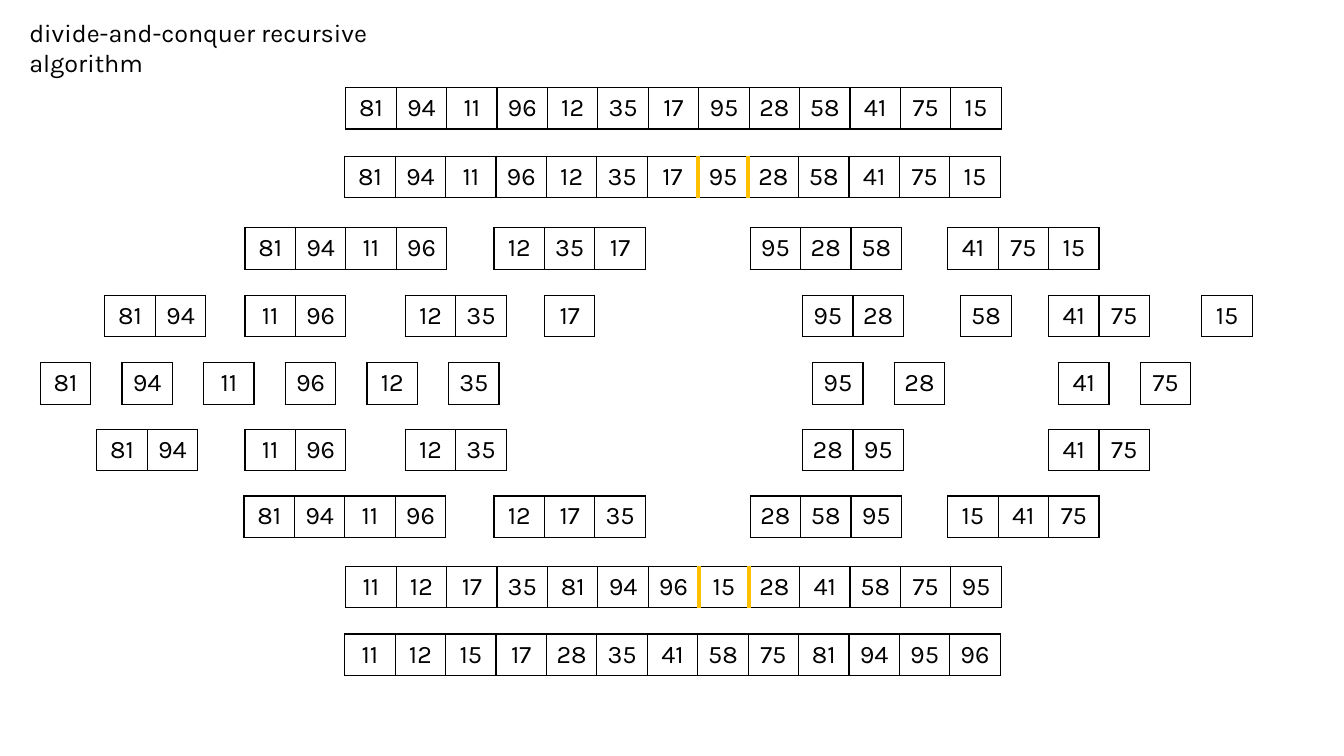
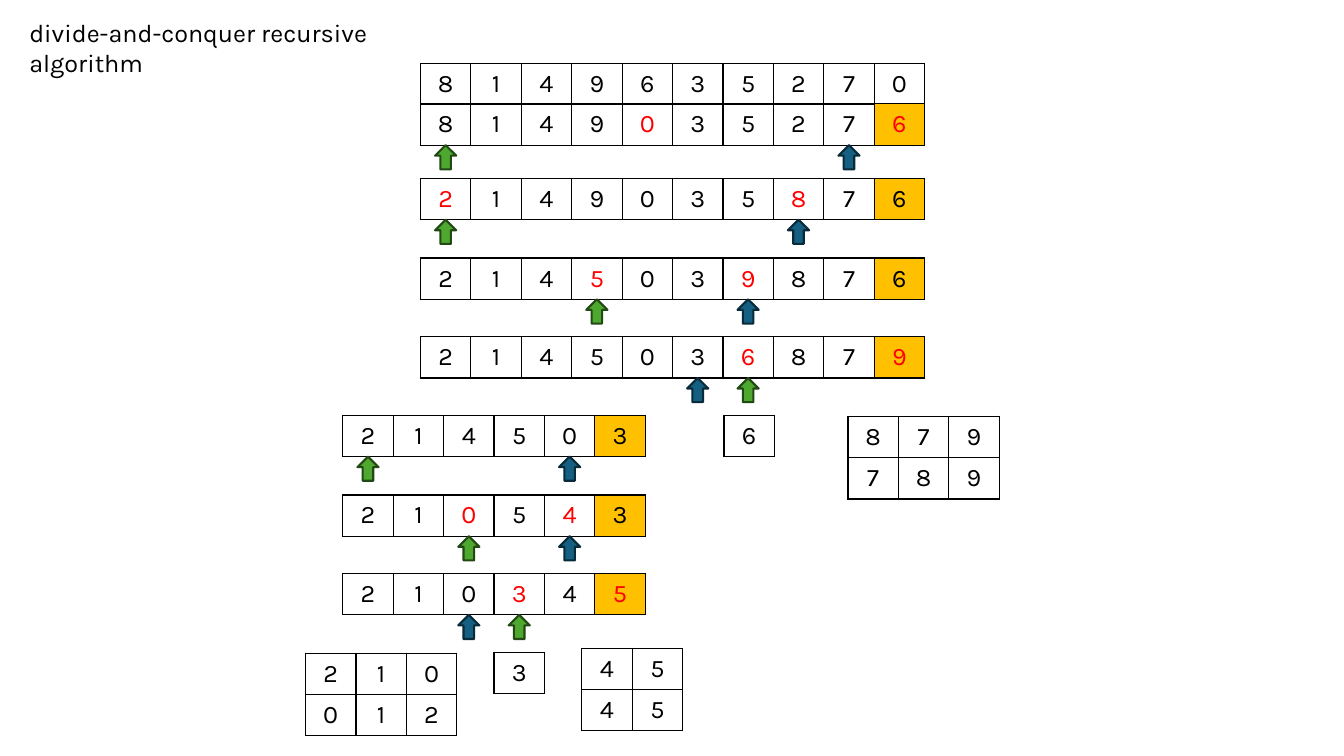
from dataclasses import dataclass

from lxml.etree import SubElement
from pptx import Presentation
from pptx.dml.color import RGBColor
from pptx.enum.shapes import MSO_SHAPE
from pptx.enum.text import MSO_ANCHOR as Anchor, MSO_AUTO_SIZE as AutoSize, PP_ALIGN as Align
from pptx.oxml.ns import qn
from pptx.util import Inches, Pt


@dataclass(frozen=True)
class Theme:
    font: str = "Karla"
    size: int = 18
    ink: str = "000000"
    paper: str = "FFFFFF"
    swapped: str = "FF0000"
    accent: str = "FFC000"
    left_marker: tuple = ("4EA72E", "224914")
    right_marker: tuple = ("156082", "092A39")
    grid_line: int = 1
    split_line: int = 3
    marker_line: float = 1.5


CELL_W, CELL_H = 0.5, 0.41
MARKER_W, MARKER_H = 0.21, 0.24
TITLE = "divide-and-conquer recursive algorithm"


def write(frame, text, *, theme, color=None, align=Align.LEFT):
    paragraph = frame.paragraphs[0]
    paragraph.alignment = align
    run = paragraph.add_run()
    run.text = text
    run.font.name = theme.font
    run.font.size = Pt(theme.size)
    run.font.color.rgb = RGBColor.from_string(color or theme.ink)


def set_border(cell, side, color, width):
    """Draw one cell edge; side is L, R, T or B."""
    line = SubElement(cell._tc.get_or_add_tcPr(), qn(f"a:ln{side}"), w=str(Pt(width)))
    fill = SubElement(line, qn("a:solidFill"))
    SubElement(fill, qn("a:srgbClr"), val=color)


class Deck:
    def __init__(self, theme):
        self.theme = theme
        self.prs = Presentation()
        self.prs.slide_width, self.prs.slide_height = Inches(13.33), Inches(7.5)
        self.slide = None

    def new_slide(self, title):
        self.slide = self.prs.slides.add_slide(self.prs.slide_layouts[5])
        background = self.slide.background.fill
        background.solid()
        background.fore_color.rgb = RGBColor.from_string(self.theme.paper)
        heading = self.slide.shapes.title
        heading.left, heading.top = Inches(0.19), Inches(0.12)
        heading.width, heading.height = Inches(4.45), Inches(0.7)
        frame = heading.text_frame
        frame.word_wrap = True
        frame.auto_size = AutoSize.NONE
        frame.vertical_anchor = Anchor.TOP
        write(frame, title, theme=self.theme)

    def array(self, left, top, values, swapped=(), pivot=False, split=()):
        """Draw a row of values; split lists the columns whose left edge is marked."""
        theme, values = self.theme, values.split()
        table = self.slide.shapes.add_table(
            1, len(values), Inches(left), Inches(top),
            Inches(CELL_W * len(values)), Inches(CELL_H)).table
        table.first_row = table.horz_banding = False
        for column, value in enumerate(values):
            table.columns[column].width = Inches(CELL_W)
            cell = table.cell(0, column)
            cell.vertical_anchor = Anchor.MIDDLE
            write(cell.text_frame, value, theme=theme, align=Align.CENTER,
                  color=theme.swapped if column in swapped else theme.ink)
            for side, edge in (("L", column), ("R", column + 1), ("T", None), ("B", None)):
                if edge in split:
                    set_border(cell, side, theme.accent, theme.split_line)
                else:
                    set_border(cell, side, theme.ink, theme.grid_line)
            if pivot and column == len(values) - 1:
                cell.fill.solid()
                cell.fill.fore_color.rgb = RGBColor.from_string(theme.accent)
            else:
                cell.fill.background()

    def marker(self, left, top, column, colors):
        """Point an arrow at a column of the array that starts at left, top."""
        x = left + CELL_W * column + (CELL_W - MARKER_W) / 2
        arrow = self.slide.shapes.add_shape(
            MSO_SHAPE.UP_ARROW, Inches(x), Inches(top + CELL_H),
            Inches(MARKER_W), Inches(MARKER_H))
        arrow.shadow.inherit = False
        fill, outline = colors
        arrow.fill.solid()
        arrow.fill.fore_color.rgb = RGBColor.from_string(fill)
        arrow.line.color.rgb = RGBColor.from_string(outline)
        arrow.line.width = Pt(self.theme.marker_line)


def merge_sort_slide(deck):
    deck.new_slide(TITLE)
    unsorted = "81 94 11 96 12 35 17 95 28 58 41 75 15"
    halves = (7, 8)
    deck.array(3.43, 0.87, unsorted)
    deck.array(3.42, 1.55, unsorted, split=halves)
    levels = {
        2.26: [(2.43, "81 94 11 96"), (4.9, "12 35 17"), (7.44, "95 28 58"), (9.4, "41 75 15")],
        2.93: [(1.04, "81 94"), (2.43, "11 96"), (4.02, "12 35"), (5.4, "17"),
               (7.96, "95 28"), (9.53, "58"), (10.4, "41 75"), (11.92, "15")],
        4.26: [(0.96, "81 94"), (2.43, "11 96"), (4.02, "12 35"), (7.96, "28 95"),
               (10.4, "41 75")],
        4.92: [(2.42, "81 94 11 96"), (4.9, "12 17 35"), (7.44, "28 58 95"), (9.4, "15 41 75")],
    }
    for top, parts in levels.items():
        for left, values in parts:
            deck.array(left, top, values)
    for start, singles in ((0.4, "81 94 11 96 12 35"), (8.06, "95 28"), (10.5, "41 75")):
        for index, value in enumerate(singles.split()):
            deck.array(start + 0.81 * index, 3.6, value)
    deck.array(3.43, 5.62, "11 12 17 35 81 94 96 15 28 41 58 75 95", split=halves)
    deck.array(3.42, 6.29, "11 12 15 17 28 35 41 58 75 81 94 95 96")


def quick_sort_slide(deck):
    deck.new_slide(TITLE)
    whole, lower = 4.17, 3.4
    deck.array(whole, 0.63, "8 1 4 9 6 3 5 2 7 0")
    # left, top, values, swapped columns, left marker column, right marker column
    passes = [
        (whole, 1.03, "8 1 4 9 0 3 5 2 7 6", (4, 9), 0, 8),
        (whole, 1.77, "2 1 4 9 0 3 5 8 7 6", (0, 7), 0, 7),
        (whole, 2.56, "2 1 4 5 0 3 9 8 7 6", (3, 6), 3, 6),
        (whole, 3.34, "2 1 4 5 0 3 6 8 7 9", (6, 9), 6, 5),
        (lower, 4.12, "2 1 4 5 0 3", (), 0, 4),
        (lower, 4.91, "2 1 0 5 4 3", (2, 4), 2, 4),
        (lower, 5.69, "2 1 0 3 4 5", (3, 5), 3, 2),
    ]
    for left, top, values, swapped, left_column, right_column in passes:
        deck.array(left, top, values, swapped=swapped, pivot=True)
        deck.marker(left, top, left_column, deck.theme.left_marker)
        deck.marker(left, top, right_column, deck.theme.right_marker)
    partitions = [
        (7.18, 4.12, ["6"]),
        (8.41, 4.13, ["8 7 9", "7 8 9"]),
        (3.03, 6.48, ["2 1 0", "0 1 2"]),
        (4.9, 6.47, ["3"]),
        (5.77, 6.43, ["4 5", "4 5"]),
    ]
    for left, top, arrays in partitions:
        for index, values in enumerate(arrays):
            deck.array(left, top + CELL_H * index, values)


def main():
    deck = Deck(Theme())
    merge_sort_slide(deck)
    quick_sort_slide(deck)
    deck.prs.save("out.pptx")


if __name__ == "__main__":
    main()
